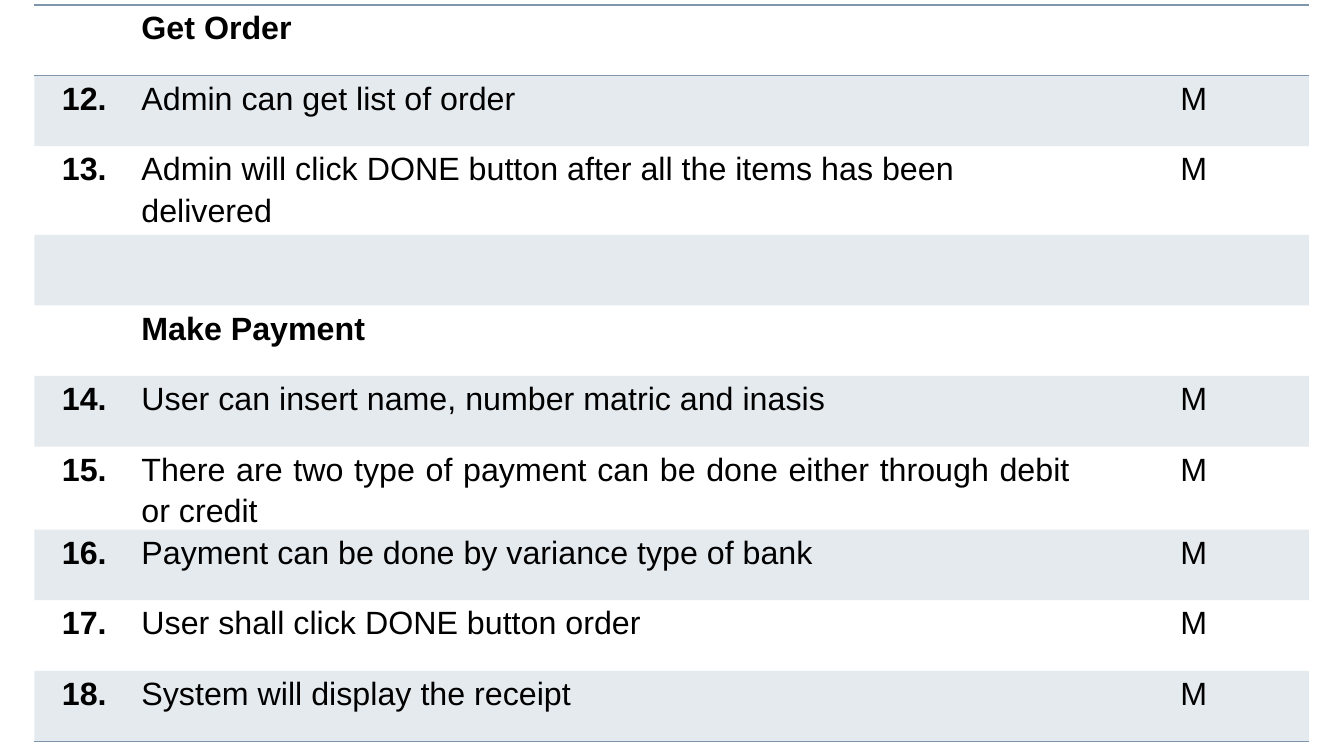
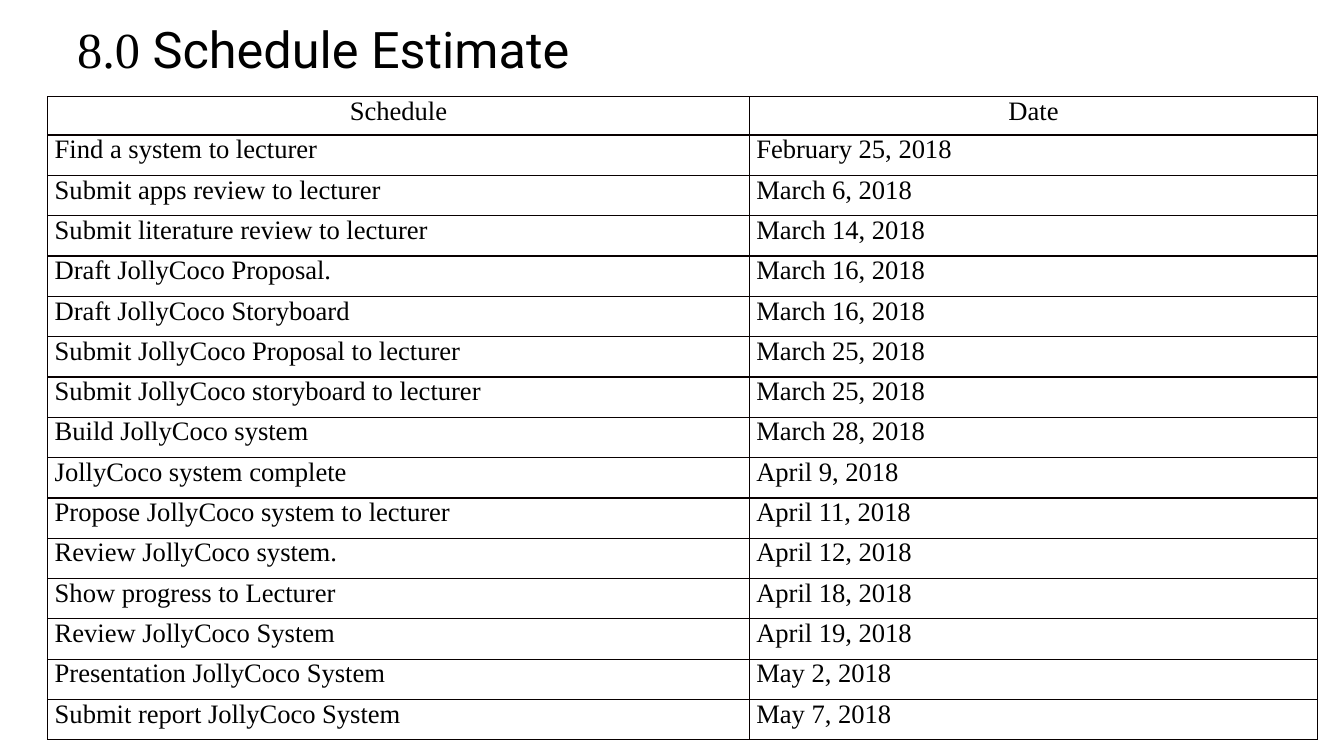
from lxml import etree
from pptx import Presentation
from pptx.dml.color import RGBColor
from pptx.enum.text import MSO_ANCHOR as Anchor, PP_ALIGN as Align
from pptx.oxml.ns import qn
from pptx.util import Emu, Inches, Pt

BLACK, STEEL, INK = "000000", "7E97AD", "080000"
SANS, SERIF, DISPLAY = "Arial", "Times New Roman", "Roboto"
NO_STYLE = "{2D5ABB26-0587-4C30-8999-92F81FD0307C}"
COLUMNS, ROWS = 200, 150


def color(value):
    return RGBColor.from_string(value)


class Deck:
    def __init__(self):
        self.show = Presentation()
        self.show.slide_width = Inches(13.33)
        self.show.slide_height = Inches(7.5)
        self.slide = None

    def x(self, columns):
        return Emu(round(self.show.slide_width * columns / COLUMNS))

    def y(self, rows):
        return Emu(round(self.show.slide_height * rows / ROWS))

    def new_slide(self):
        self.slide = self.show.slides.add_slide(self.show.slide_layouts[6])

    def run(self, paragraph, text, font, size, bold=False):
        run = paragraph.add_run()
        run.text = text
        run.font.name = font
        run.font.size = Pt(size)
        run.font.bold = bold
        run.font.color.rgb = color(BLACK)

    def title(self, left, top, width, height, parts):
        box = self.slide.shapes.add_textbox(
            self.x(left), self.y(top), self.x(width), self.y(height))
        frame = box.text_frame
        frame.word_wrap = True
        frame.vertical_anchor = Anchor.MIDDLE
        for text, font in parts:
            self.run(frame.paragraphs[0], text, font, 36)

    def table(self, left, top, widths, heights):
        frame = self.slide.shapes.add_table(
            len(heights), len(widths), self.x(left), self.y(top),
            self.x(sum(widths)), self.y(sum(heights)))
        table = frame.table
        table.first_row = table.horz_banding = False
        frame._element.find(".//" + qn("a:tableStyleId")).text = NO_STYLE
        for column, width in zip(table.columns, widths):
            column.width = self.x(width)
        for row, height in zip(table.rows, heights):
            row.height = self.y(height)
        return table

    def cell(self, cell, text, font, size, align=Align.LEFT, bold=False,
             spacing=1.0, after=0):
        cell.margin_left = cell.margin_right = Inches(0.07)
        cell.margin_top = cell.margin_bottom = 0
        if text:
            paragraph = cell.text_frame.paragraphs[0]
            paragraph.alignment = align
            paragraph.line_spacing = spacing
            paragraph.space_after = Pt(after)
            self.run(paragraph, text, font, size, bold)

    def borders(self, cell, sides, line_color):
        properties = cell._tc.get_or_add_tcPr()
        for side in sides:
            line = etree.SubElement(properties, qn("a:ln" + side), w=str(Pt(1)))
            fill = etree.SubElement(line, qn("a:solidFill"))
            etree.SubElement(fill, qn("a:srgbClr"), val=line_color)

    def fill(self, cell, fill_color=None, opacity=100):
        if fill_color is None:
            cell.fill.background()
            return
        cell.fill.solid()
        cell.fill.fore_color.rgb = color(fill_color)
        tint = cell._tc.tcPr.find(qn("a:solidFill") + "/" + qn("a:srgbClr"))
        etree.SubElement(tint, qn("a:alpha"), val=str(opacity * 1000))


REQUIREMENTS = [
    ("", "Get Order", ""),
    ("12.", "Admin can get list of order", "M"),
    ("13.", "Admin will click DONE button after all the items has been delivered", "M"),
    ("", "", ""),
    ("", "Make Payment", ""),
    ("14.", "User can insert name, number matric and inasis", "M"),
    ("15.", "There are two type of payment can be done either through debit or credit", "M"),
    ("16.", "Payment can be done by variance type of bank", "M"),
    ("17.", "User shall click DONE button order", "M"),
    ("18.", "System will display the receipt", "M"),
]
TALL_ROWS = {"13.": 17.6, "15.": 16.4}
JUSTIFIED = {"15.", "16."}

SCHEDULE = [
    ("Schedule", "Date"),
    ("Find a system to lecturer", "February 25, 2018"),
    ("Submit apps review to lecturer", "March 6, 2018"),
    ("Submit literature review to lecturer", "March 14, 2018"),
    ("Draft JollyCoco Proposal.", "March 16, 2018"),
    ("Draft JollyCoco Storyboard", "March 16, 2018"),
    ("Submit JollyCoco Proposal to lecturer", "March 25, 2018"),
    ("Submit JollyCoco storyboard to lecturer", "March 25, 2018"),
    ("Build JollyCoco system", "March 28, 2018"),
    ("JollyCoco system complete", "April 9, 2018"),
    ("Propose JollyCoco system to lecturer", "April 11, 2018"),
    ("Review JollyCoco system.", "April 12, 2018"),
    ("Show progress to Lecturer", "April 18, 2018"),
    ("Review JollyCoco System", "April 19, 2018"),
    ("Presentation JollyCoco System", "May 2, 2018"),
    ("Submit report JollyCoco System", "May 7, 2018"),
]


def requirements_slide(deck):
    deck.new_slide()
    heights = [TALL_ROWS.get(number, 14) for number, _, _ in REQUIREMENTS]
    table = deck.table(5.1, 1, [14.9, 140.5, 34.3], heights)
    edges = {0: "TB", len(REQUIREMENTS) - 1: "B"}
    for r, requirement in enumerate(REQUIREMENTS):
        number = requirement[0]
        wording = Align.JUSTIFY if number in JUSTIFIED else Align.LEFT
        aligns = (Align.CENTER, wording, Align.CENTER)
        for c, (text, align) in enumerate(zip(requirement, aligns)):
            cell = table.cell(r, c)
            deck.cell(cell, text, SANS, 23, align, c == 0 or not number, 1.15, 10)
            deck.borders(cell, edges.get(r, ""), STEEL)
            deck.fill(cell, STEEL if r % 2 else None, 20)


def schedule_slide(deck):
    deck.new_slide()
    deck.title(10, 3.2, 180, 12.8, [("8.0 ", SERIF), ("Schedule Estimate", DISPLAY)])
    heights = [7.6] + [8] * (len(SCHEDULE) - 1)
    table = deck.table(7.1, 19.2, [104.4, 84.6], heights)
    for r, entry in enumerate(SCHEDULE):
        for c, text in enumerate(entry):
            cell = table.cell(r, c)
            deck.cell(cell, text, SERIF, 19, Align.LEFT if r else Align.CENTER)
            deck.borders(cell, "LRTB", INK)
            deck.fill(cell)


def main():
    deck = Deck()
    requirements_slide(deck)
    schedule_slide(deck)
    deck.show.save("out.pptx")


if __name__ == "__main__":
    main()
